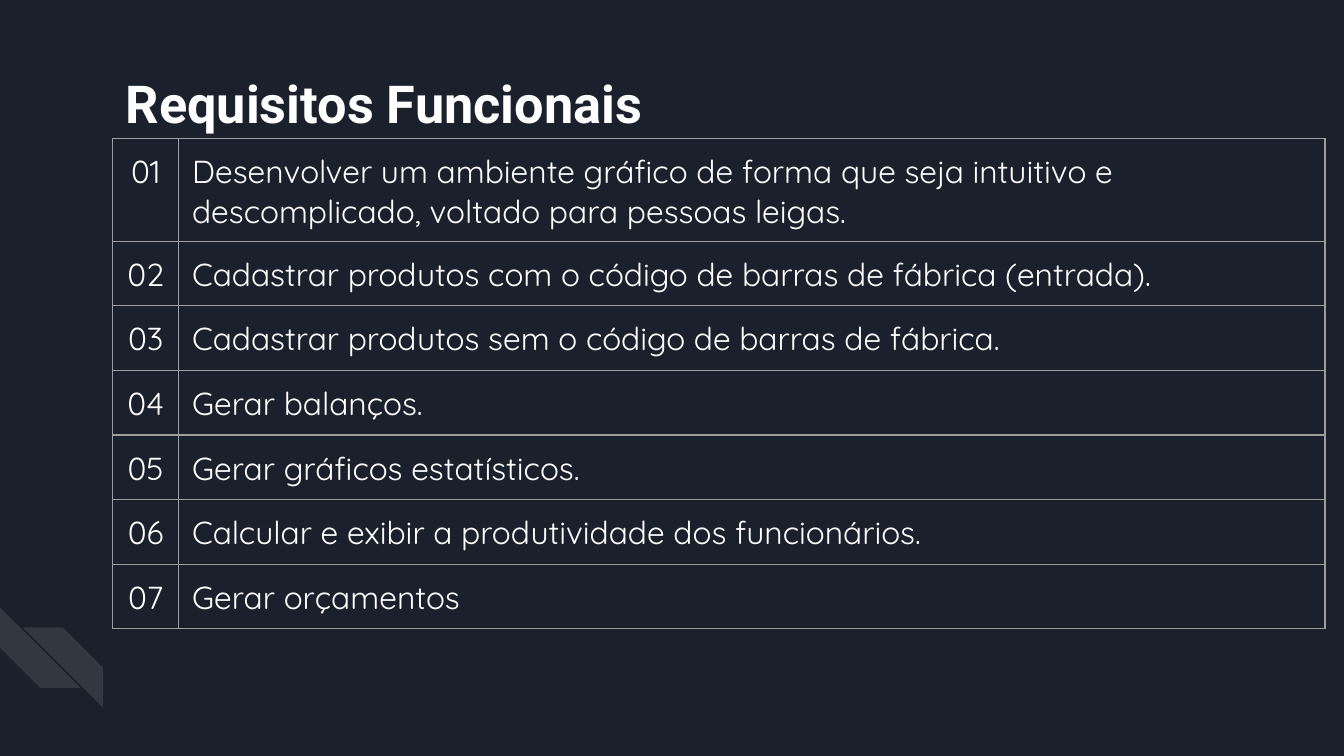
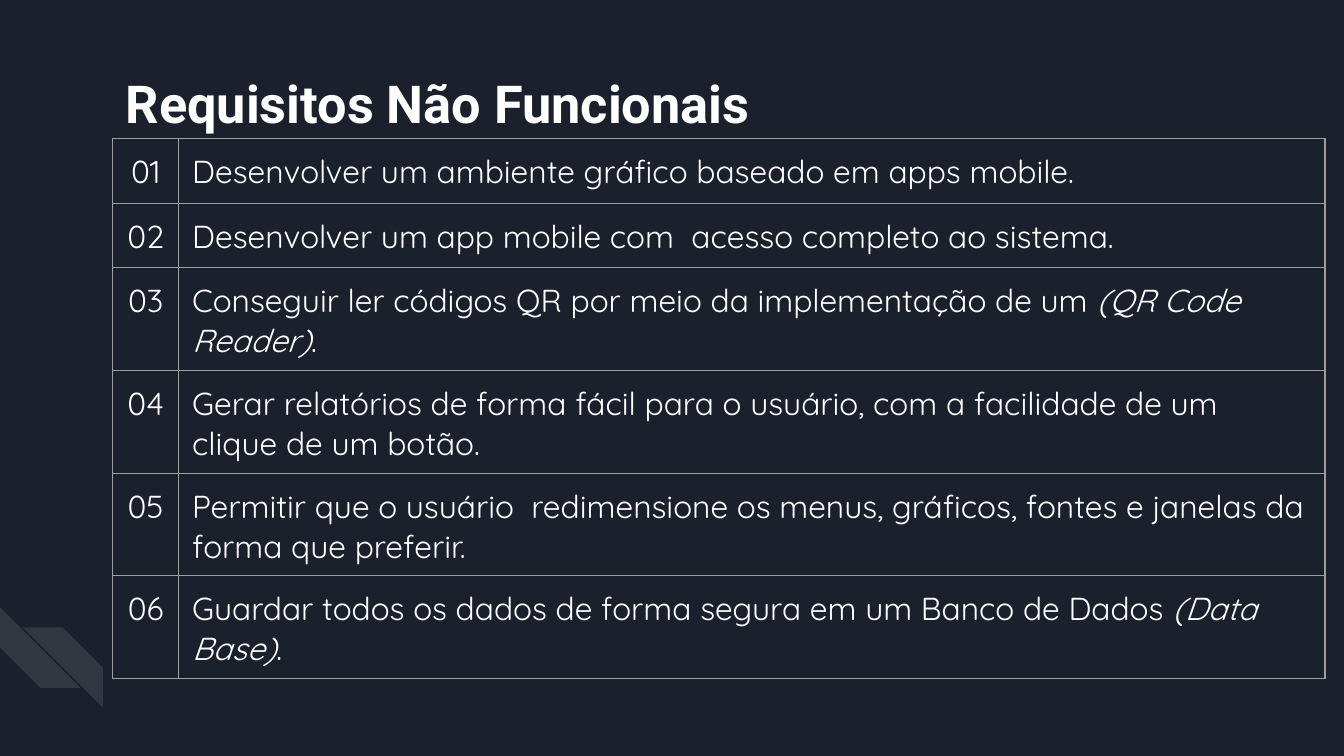
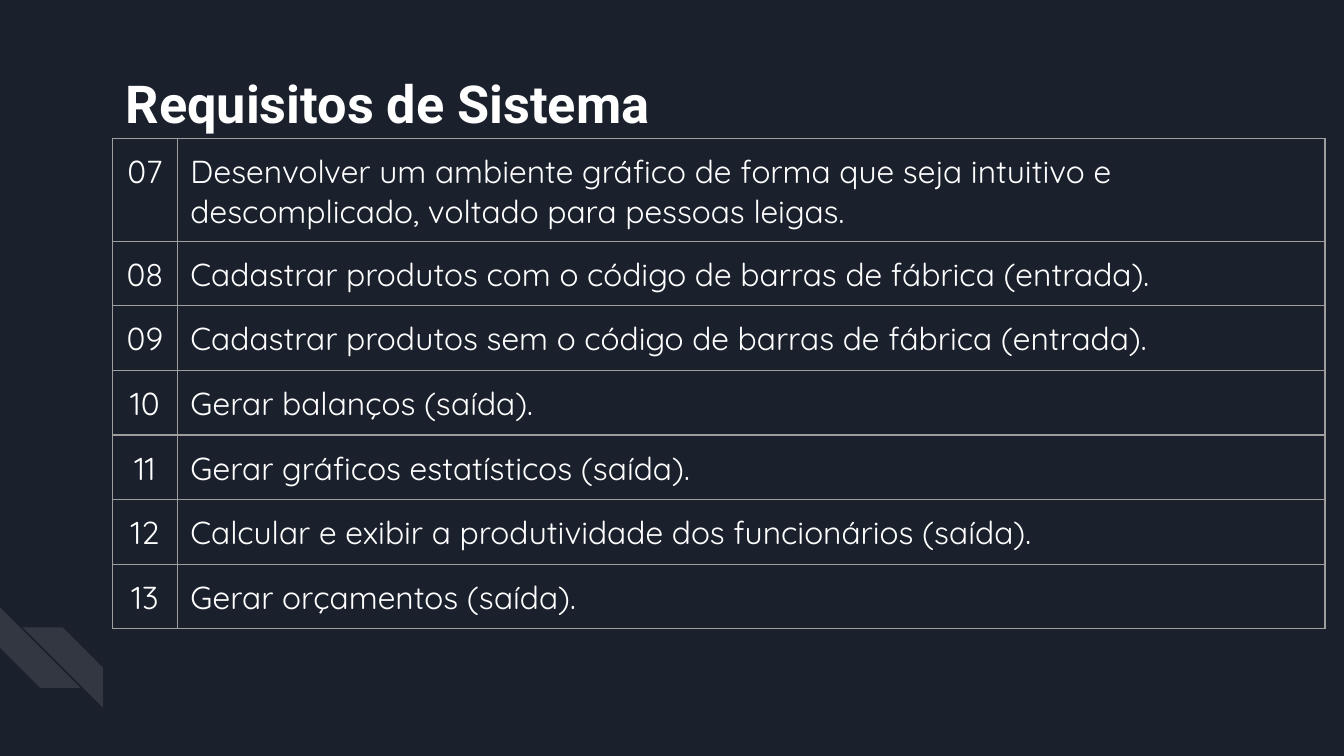
from lxml.etree import SubElement
from pptx import Presentation
from pptx.dml.color import RGBColor
from pptx.enum.shapes import MSO_SHAPE
from pptx.enum.text import MSO_ANCHOR, PP_ALIGN
from pptx.oxml import parse_xml
from pptx.oxml.ns import nsdecls, qn
from pptx.util import Cm, Pt

NAVY = RGBColor(0x1B, 0x21, 0x2C)
WHITE = RGBColor(0xFF, 0xFF, 0xFF)
GREY = RGBColor(0x9E, 0x9E, 0x9E)
PAD = Cm(0.25)

# Boxes: left, top, width, height
STRIPES = (Cm(0), Cm(11.48), Cm(1.52), Cm(1.52))
TITLE = (Cm(2.13), Cm(1.09), Cm(19.56), Cm(1.52))
GRID = (Cm(2.13), Cm(2.62), Cm(22.91), Cm(1.07))  # height of one row

# Title, first number, width of the number column, items (italics between bars)
PAGES = [
    ("Requisitos Funcionais", 1, Cm(1.25), [
        "Desenvolver um ambiente gráfico de forma que seja intuitivo e "
        "descomplicado, voltado para pessoas leigas.",
        "Cadastrar produtos com o código de barras de fábrica (entrada).",
        "Cadastrar produtos sem o código de barras de fábrica.",
        "Gerar balanços.",
        "Gerar gráficos estatísticos.",
        "Calcular e exibir a produtividade dos funcionários.",
        "Gerar orçamentos",
    ]),
    ("Requisitos Não Funcionais", 1, Cm(1.25), [
        "Desenvolver um ambiente gráfico baseado em apps mobile.",
        "Desenvolver um app mobile com  acesso completo ao sistema.",
        "Conseguir ler códigos QR por meio da implementação de um "
        "|(QR Code Reader)|.",
        "Gerar relatórios de forma fácil para o usuário, com a facilidade "
        "de um clique de um botão.",
        "Permitir que o usuário  redimensione os menus, gráficos, fontes e "
        "janelas da forma que preferir.",
        "Guardar todos os dados de forma segura em um Banco de Dados "
        "|(Data Base)|.",
    ]),
    ("Requisitos de Sistema", 7, Cm(1.22), [
        "Desenvolver um ambiente gráfico de forma que seja intuitivo e "
        "descomplicado, voltado para pessoas leigas.",
        "Cadastrar produtos com o código de barras de fábrica (entrada).",
        "Cadastrar produtos sem o código de barras de fábrica (entrada).",
        "Gerar balanços (saída).",
        "Gerar gráficos estatísticos (saída).",
        "Calcular e exibir a produtividade dos funcionários (saída).",
        "Gerar orçamentos (saída).",
    ]),
]


def pad(box):
    box.margin_left = box.margin_right = PAD
    box.margin_top = box.margin_bottom = PAD


def add_run(para, text, face, size, bold=False, slant=False):
    run = para.add_run()
    run.text = text
    font = run.font
    font.name, font.size = face, Pt(size)
    font.bold, font.italic = bold, slant
    font.color.rgb = WHITE


def add_stripes(slide, box):
    """Two faint diagonal stripes in the corner."""
    left, top, width, height = box
    group = slide.shapes.add_group_shape()
    for dx, dy, turn, flip in ((0, 0, 270, False), (Cm(0.43), Cm(0.38), 0, True)):
        stripe = group.shapes.add_shape(
            MSO_SHAPE.DIAGONAL_STRIPE, left + dx, top + dy, width, height)
        stripe.rotation = turn
        stripe.shadow.inherit = False
        stripe.line.fill.background()
        stripe.fill.solid()
        stripe.fill.fore_color.rgb = WHITE
        tint = stripe.element.spPr.find(qn("a:solidFill"))[0]
        SubElement(tint, qn("a:alpha"), val="10000")
        if flip:
            stripe.element.spPr.find(qn("a:xfrm")).set("flipH", "1")


def add_title(slide, box, text):
    frame = slide.shapes.add_textbox(*box).text_frame
    frame.word_wrap = True
    frame.vertical_anchor = MSO_ANCHOR.TOP
    pad(frame)
    add_run(frame.paragraphs[0], text, "Roboto", 28, bold=True)


def add_edges(cell):
    """Thin grey line on all four sides of a cell."""
    props = cell._tc.get_or_add_tcPr()
    for spot, side in enumerate("LRTB"):
        props.insert(spot, parse_xml(
            f'<a:ln{side} {nsdecls("a")} w="{Pt(0.75)}"><a:solidFill>'
            f'<a:srgbClr val="{GREY}"/></a:solidFill></a:ln{side}>'))


def fill_cell(cell, text, align):
    pad(cell)
    cell.fill.solid()
    cell.fill.fore_color.rgb = NAVY
    add_edges(cell)
    para = cell.text_frame.paragraphs[0]
    para.alignment = align
    for spot, part in enumerate(text.split("|")):
        add_run(para, part, "Quicksand", 17, slant=spot % 2 == 1)


def add_grid(slide, box, first, narrow, items):
    """Numbered list of requirements."""
    left, top, width, height = box
    table = slide.shapes.add_table(
        len(items), 2, left, top, width, height * len(items)).table
    table.first_row = table.horz_banding = False
    table.columns[0].width = narrow
    table.columns[1].width = width - narrow
    for row, item in enumerate(items):
        fill_cell(table.cell(row, 0), f"{first + row:02}", PP_ALIGN.CENTER)
        fill_cell(table.cell(row, 1), item, PP_ALIGN.LEFT)


def main():
    deck = Presentation()
    deck.slide_width, deck.slide_height = Cm(25.4), Cm(14.29)
    back = deck.slide_master.background.fill
    back.solid()
    back.fore_color.rgb = NAVY
    for title, first, narrow, items in PAGES:
        slide = deck.slides.add_slide(deck.slide_layouts[6])
        add_stripes(slide, STRIPES)
        add_title(slide, TITLE, title)
        add_grid(slide, GRID, first, narrow, items)
    deck.save("out.pptx")


if __name__ == "__main__":
    main()
